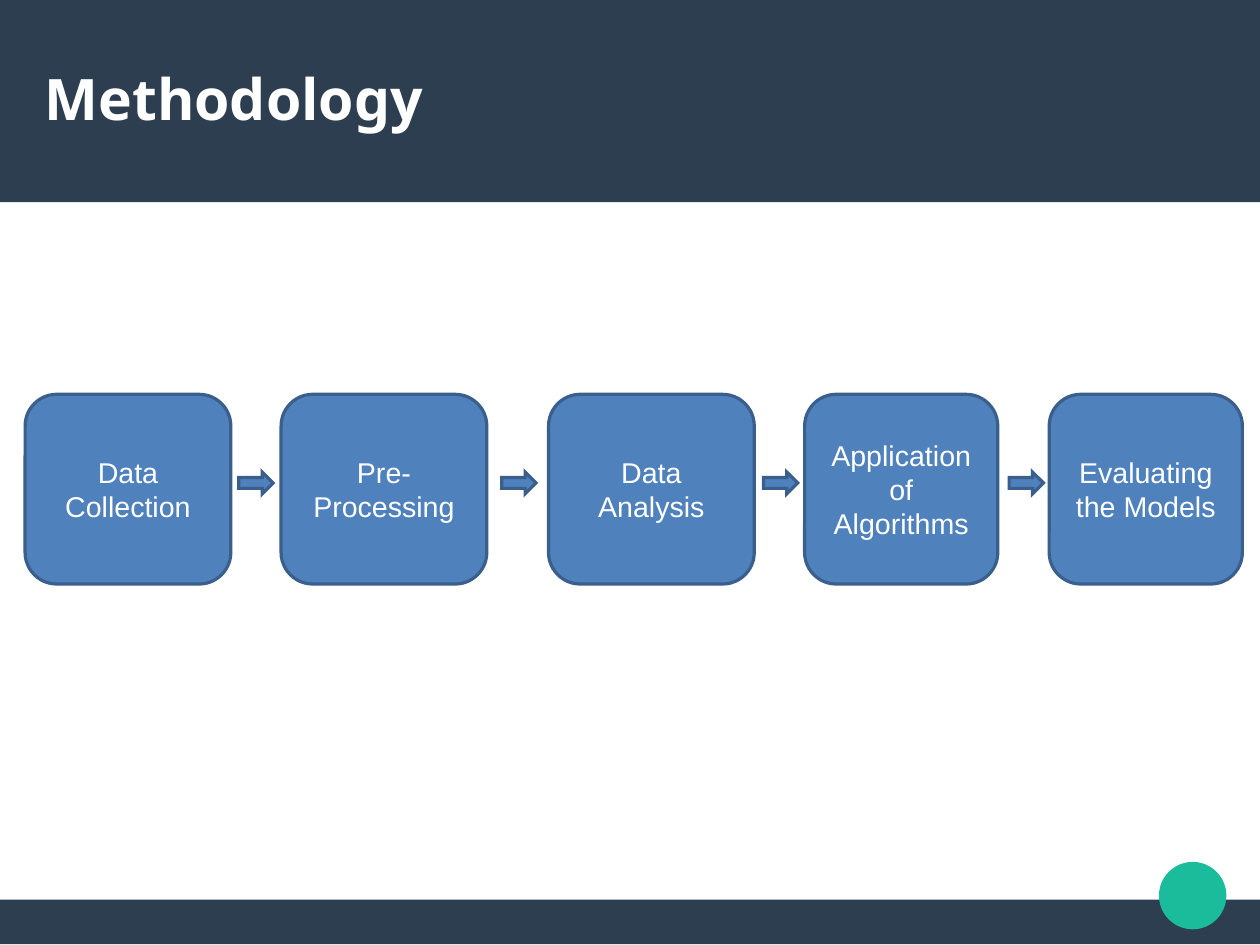
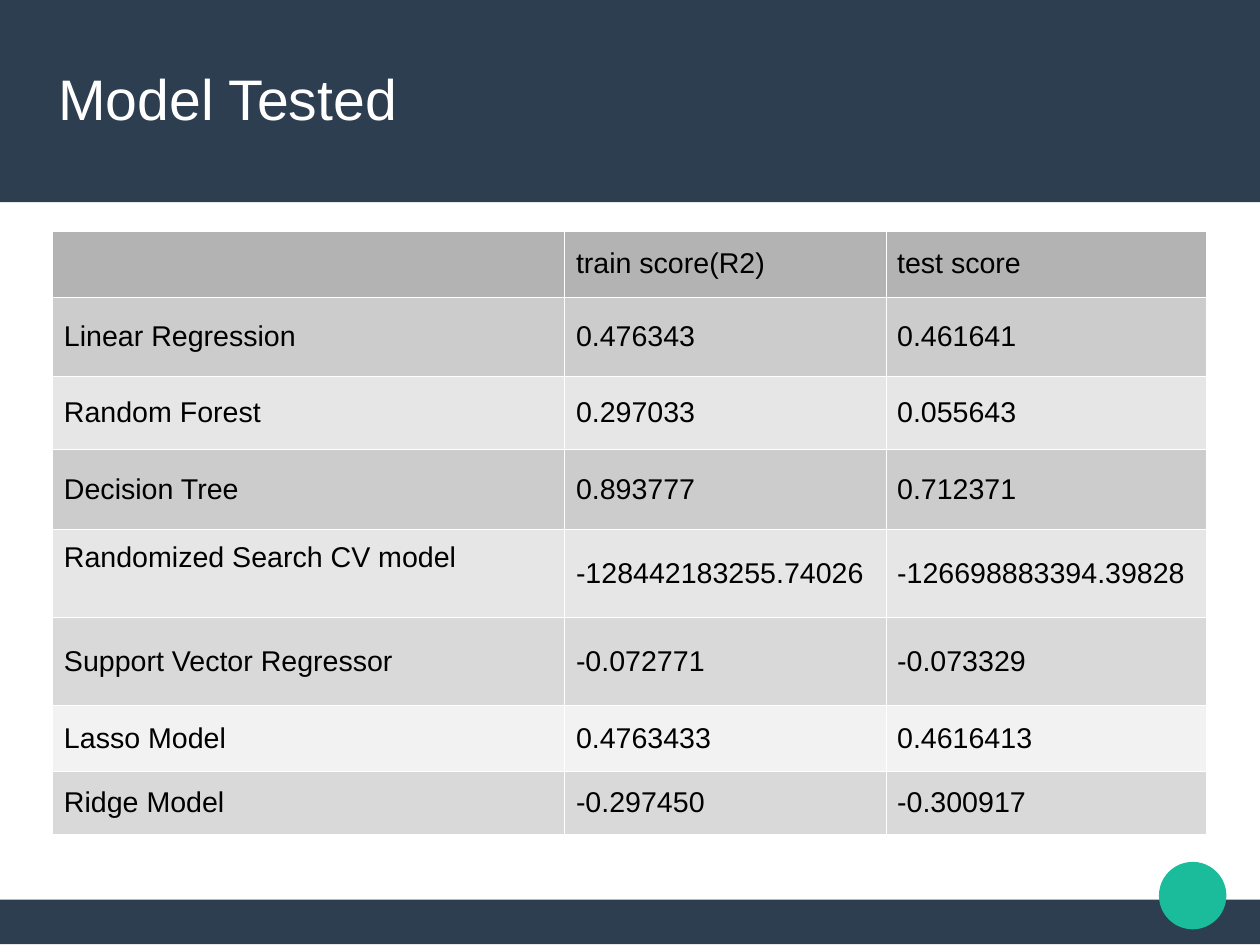
from pptx import Presentation
from pptx.dml.color import RGBColor
from pptx.enum.shapes import MSO_SHAPE as SHAPE
from pptx.enum.text import MSO_ANCHOR as ANCHOR, PP_ALIGN as ALIGN
from pptx.oxml import parse_xml
from pptx.oxml.ns import nsdecls
from pptx.util import Inches, Pt


def rgb(value):
    return RGBColor.from_string(value)


class Deck:
    NAVY, TEAL, BLUE, EDGE = "2C3E50", "1ABC9C", "4F81BD", "3A5F8C"
    WHITE, BLACK = "FFFFFF", "000000"

    def __init__(self):
        self.prs = Presentation()
        self.prs.slide_width = Pt(793.75)
        self.prs.slide_height = Pt(595.25)
        self.s = None

    def slide(self, title, font="Arial", bold=False, indent=0):
        self.s = self.prs.slides.add_slide(self.prs.slide_layouts[6])
        width = self.prs.slide_width / Inches(1)
        self.shape(SHAPE.RECTANGLE, 0, 7.87, width, 0.39, self.NAVY)
        self.shape(SHAPE.RECTANGLE, 0, 0, width, 1.77, self.NAVY)
        self.shape(SHAPE.OVAL, 10.14, 7.54, 0.59, 0.59, self.TEAL)
        box = self.s.shapes.add_textbox(Inches(0.39), Inches(0.33), Inches(10.23), Inches(1.05))
        tf = box.text_frame
        frame = {"word_wrap": True, "vertical_anchor": ANCHOR.MIDDLE, "margin_left": Inches(indent),
                 "margin_top": 0, "margin_right": 0, "margin_bottom": 0}
        for name, value in frame.items():
            setattr(tf, name, value)
        self.text(tf, title, self.WHITE, size=36, name=font, bold=bold)

    def text(self, tf, text, color, align=ALIGN.LEFT, size=18, name="Arial", bold=False):
        style = {"size": Pt(size), "name": name, "bold": bold}
        for i, line in enumerate(text.split("\n")):
            p = tf.add_paragraph() if i else tf.paragraphs[0]
            p.alignment = align
            r = p.add_run()
            r.text = line
            for key, value in style.items():
                setattr(r.font, key, value)
            r.font.color.rgb = rgb(color)

    def shape(self, kind, x, y, w, h, fill, line=None):
        sp = self.s.shapes.add_shape(kind, Inches(x), Inches(y), Inches(w), Inches(h))
        sp.shadow.inherit = False
        sp.fill.solid()
        sp.fill.fore_color.rgb = rgb(fill)
        if line:
            sp.line.color.rgb = rgb(line)
            sp.line.width = Pt(2)
            ln = sp.line._get_or_add_ln()
            ln.append(parse_xml(f'<a:miter {nsdecls("a")} lim="800000"/>'))
        else:
            sp.line.fill.background()
        return sp

    def step(self, text, x, y, w, h):
        sp = self.shape(SHAPE.ROUNDED_RECTANGLE, x, y, w, h, self.BLUE, self.EDGE)
        tf = sp.text_frame
        tf.word_wrap = True
        tf.vertical_anchor = ANCHOR.MIDDLE
        self.text(tf, text, self.WHITE, ALIGN.CENTER)

    def arrow(self, x, y, w=0.3, h=0.19):
        self.shape(SHAPE.RIGHT_ARROW, x, y, w, h, self.BLUE, self.EDGE)

    def table(self, x, y, widths, heights, fills, rows):
        frame = self.s.shapes.add_table(len(rows), len(widths), Inches(x), Inches(y),
                                        Inches(sum(widths)), Inches(sum(heights)))
        table = frame.table
        table.first_row = table.horz_banding = False
        for column, width in zip(table.columns, widths):
            column.width = Inches(width)
        for row, height, fill, texts in zip(table.rows, heights, fills, rows):
            row.height = Inches(height)
            for cell, text in zip(row.cells, texts):
                cell.vertical_anchor = ANCHOR.MIDDLE
                self.borders(cell)
                cell.fill.solid()
                cell.fill.fore_color.rgb = rgb(fill)
                if text:
                    self.text(cell.text_frame, text, self.BLACK)
        return table

    def borders(self, cell):
        tc_pr = cell._tc.get_or_add_tcPr()
        for side in ("lnL", "lnR", "lnT", "lnB"):
            tc_pr.append(parse_xml(
                f'<a:{side} {nsdecls("a")} w="{Pt(0.06)}"><a:solidFill>'
                f'<a:srgbClr val="{self.WHITE}"/></a:solidFill></a:{side}>'))


deck = Deck()

deck.slide("Methodology", font="Noto Sans", bold=True)
steps = [
    ("Data\nCollection", 0.22, 1.8),
    ("Pre-Processing", 2.46, 1.8),
    ("Data Analysis", 4.8, 1.8),
    ("Application of Algorithms", 7.04, 1.69),
    ("Evaluating the Models", 9.18, 1.69),
]
for label, left, width in steps:
    deck.step(label, left, 3.45, width, 1.66)
for left in (2.09, 4.39, 6.68, 8.83):
    deck.arrow(left, 4.13)

deck.slide("Model Tested", indent=0.12)
scores = [
    ("", "train score(R2)", "test score"),
    ("Linear Regression", "0.476343", "0.461641"),
    ("Random Forest", "0.297033", "0.055643"),
    ("Decision Tree", "0.893777", "0.712371"),
    ("Randomized Search CV model", "-128442183255.74026", "-126698883394.39828"),
    ("Support Vector Regressor", "-0.072771", "-0.073329"),
    ("Lasso Model", "0.4763433", "0.4616413"),
    ("Ridge Model", "-0.297450", "-0.300917"),
]
row_heights = [0.58, 0.69, 0.64, 0.7, 0.77, 0.77, 0.58, 0.55]
row_fills = ["B3B3B3", "CCCCCC", "E6E6E6", "CCCCCC", "E6E6E6", "D9D9D9", "F2F2F2", "D9D9D9"]
score_table = deck.table(0.46, 2.02, [4.48, 2.81, 2.8], row_heights, row_fills, scores)
score_table.cell(4, 0).margin_bottom = Inches(0.33)

deck.prs.save("out.pptx")
